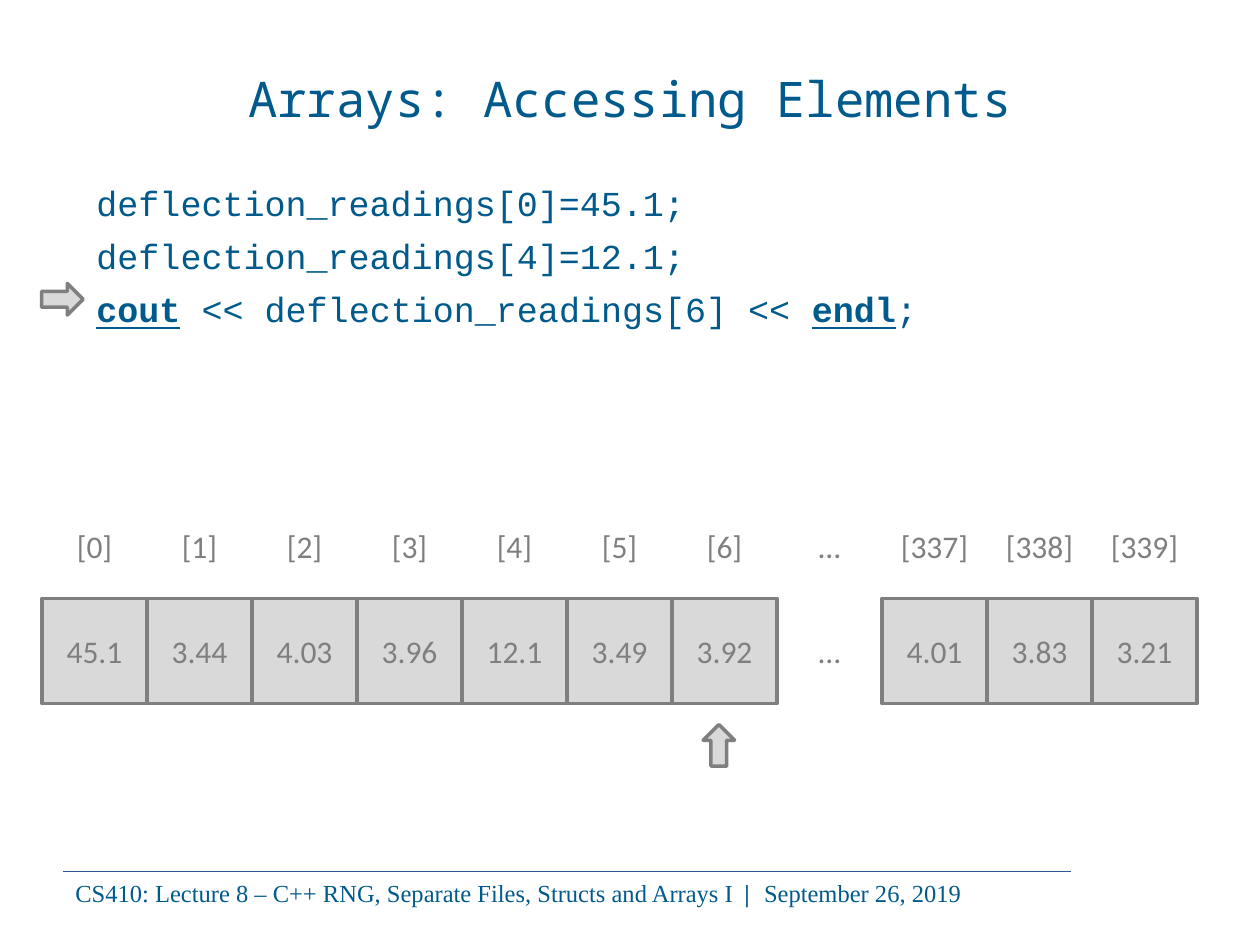
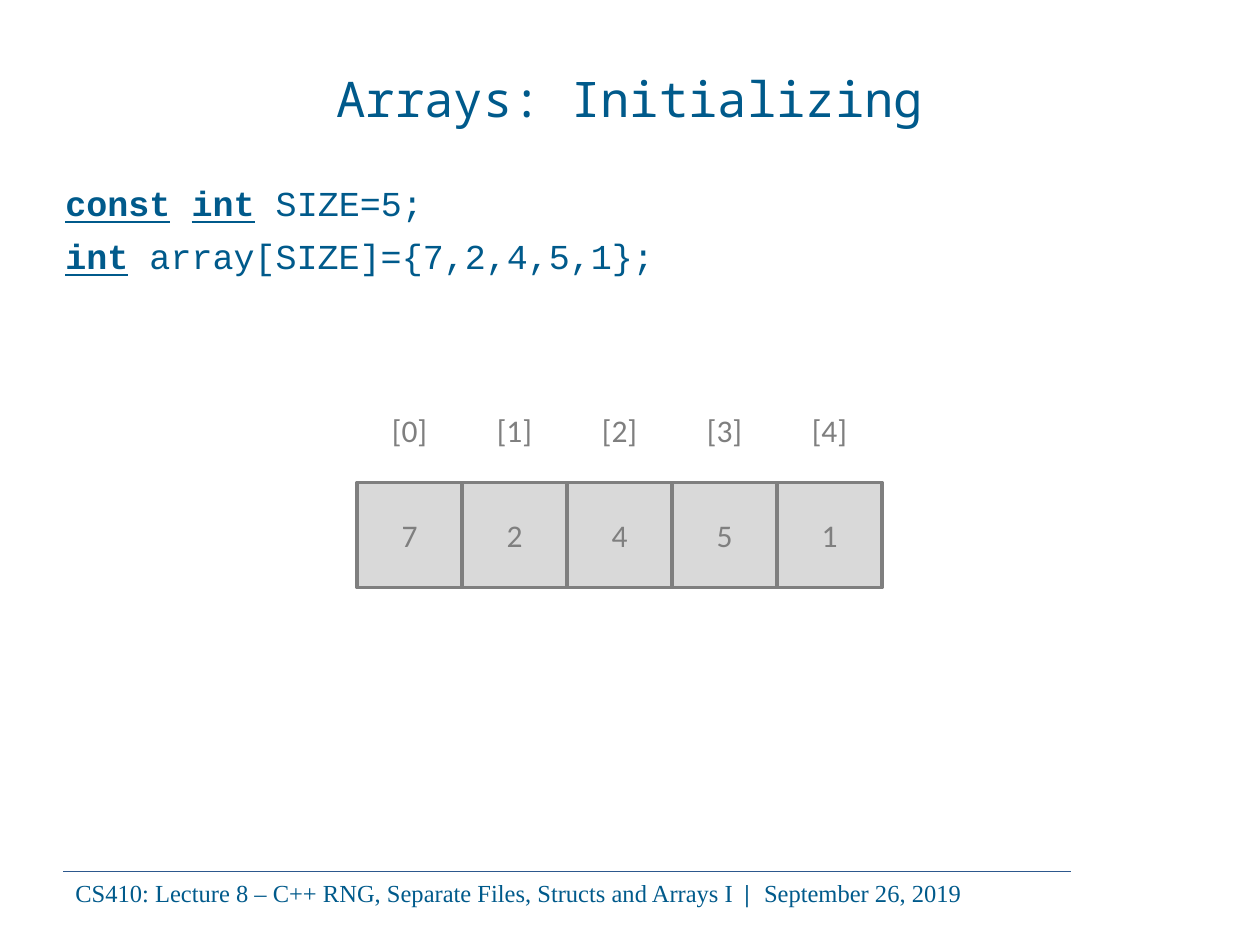
from pptx import Presentation
from pptx.dml.color import RGBColor
from pptx.enum.shapes import MSO_CONNECTOR, MSO_SHAPE
from pptx.enum.text import MSO_ANCHOR, PP_ALIGN
from pptx.oxml.ns import qn
from pptx.util import Inches, Pt
from lxml import etree

BLUE = RGBColor(0x00, 0x5A, 0x8B)
RULE = RGBColor(0x2D, 0x58, 0x8D)
GRAY = RGBColor(0x7F, 0x7F, 0x7F)
LIGHT = RGBColor(0xD9, 0xD9, 0xD9)

TITLE_FONT, CODE_FONT = "Noto Sans Mono", "Courier New"
CELL_FONT, FOOTER_FONT = "Calibri", "Times New Roman"
CELL = 5 / 6
GAP = "…"
KEYWORDS = ("cout", "endl", "const", "int")

FOOTER = ("CS410: Lecture 8 – C++ RNG, Separate Files, Structs and Arrays I",
          " | ", "September 26, 2019")

# Code lines are lists of runs; arrows are (left, top, rotation).
SLIDES = [
    {
        "title": "Arrays: Accessing Elements",
        "code_box": (0.5, 1.39, 8.58, 5.32),
        "code": [
            [" deflection_readings[0]=45.1;"],
            [" deflection_readings[4]=12.1;"],
            [" ", "cout", " << deflection_readings[6] << ", "endl", ";"],
        ],
        "array_at": (1 / 3, 4.75),
        "array": [("[0]", "45.1"), ("[1]", "3.44"), ("[2]", "4.03"),
                  ("[3]", "3.96"), ("[4]", "12.1"), ("[5]", "3.49"),
                  ("[6]", "3.92"), (GAP, GAP), ("[337]", "4.01"),
                  ("[338]", "3.83"), ("[339]", "3.21")],
        "arrows": [(0.33, 2.25, 0), (5.54, 5.79, 270)],
    },
    {
        "title": "Arrays: Initializing",
        "code_box": (0.42, 1.39, 9.75, 5.32),
        "code": [
            ["const", " ", "int", " SIZE=5;"],
            ["int", " array[SIZE]={7,2,4,5,1};"],
        ],
        "array_at": (17 / 6, 3.83),
        "array": [("[0]", "7"), ("[1]", "2"), ("[2]", "4"),
                  ("[3]", "5"), ("[4]", "1")],
        "arrows": [],
    },
]


def add_run(p, text, font, size, color, bold=False, underline=False):
    r = p.add_run()
    r.text = text
    r.font.name, r.font.size = font, Pt(size)
    r.font.color.rgb = color
    r.font.bold, r.font.underline = bold, underline
    return r


def add_text_frame(s, left, top, width, height):
    tf = s.shapes.add_textbox(Inches(left), Inches(top),
                              Inches(width), Inches(height)).text_frame
    tf.word_wrap = True
    return tf


def add_gray_shape(s, kind, left, top, width, height):
    sp = s.shapes.add_shape(kind, Inches(left), Inches(top),
                            Inches(width), Inches(height))
    sp.shadow.inherit = False
    sp.fill.solid()
    sp.fill.fore_color.rgb = LIGHT
    sp.line.color.rgb = GRAY
    sp.line.width = Pt(2)
    return sp


def center_text(tf, text, font, size, color):
    tf.vertical_anchor = MSO_ANCHOR.MIDDLE
    p = tf.paragraphs[0]
    p.alignment = PP_ALIGN.CENTER
    add_run(p, text, font, size, color)


def add_footer(s):
    line = s.shapes.add_connector(MSO_CONNECTOR.STRAIGHT, Inches(0.5), Inches(6.92),
                                  Inches(8.5), Inches(6.92))
    line.line.color.rgb = RULE
    line.line.width = Pt(0.5)
    etree.SubElement(line._element.spPr, qn("a:effectLst"))

    p = add_text_frame(s, 0.5, 6.92, 8.17, 0.34).paragraphs[0]
    lecture, bar, date = FOOTER
    add_run(p, lecture, FOOTER_FONT, 14, BLUE)
    r = add_run(p, bar, FOOTER_FONT, 14, BLUE, bold=True)
    r._r.get_or_add_rPr().set("spc", "230")
    add_run(p, date, FOOTER_FONT, 14, BLUE)


def add_code(s, box, lines):
    tf = add_text_frame(s, *box)
    for i, line in enumerate(lines):
        p = tf.paragraphs[0] if i == 0 else tf.add_paragraph()
        if i:
            p.space_before = Pt(6.4)
        for text in line:
            keyword = text in KEYWORDS
            add_run(p, text, CODE_FONT, 20, BLUE, keyword, keyword)


def add_array(s, left, top, items):
    """Draw a row of value cells with the index of each one above it."""
    for i, (index, value) in enumerate(items):
        x = left + i * CELL
        if value == GAP:
            tf = add_text_frame(s, x, top, CELL, CELL)
        else:
            tf = add_gray_shape(s, MSO_SHAPE.RECTANGLE, x, top, CELL, CELL).text_frame
        center_text(tf, value, CELL_FONT, 18, GRAY)
        center_text(add_text_frame(s, x, top - CELL, CELL, CELL),
                    index, CELL_FONT, 18, GRAY)


def main():
    prs = Presentation()
    prs.slide_width, prs.slide_height = Inches(10), Inches(7.5)
    for content in SLIDES:
        s = prs.slides.add_slide(prs.slide_layouts[6])
        add_footer(s)
        center_text(add_text_frame(s, 0.5, 0.3, 9, 0.95),
                    content["title"], TITLE_FONT, 28, BLUE)
        add_code(s, content["code_box"], content["code"])
        add_array(s, *content["array_at"], content["array"])
        for left, top, rotation in content["arrows"]:
            sp = add_gray_shape(s, MSO_SHAPE.RIGHT_ARROW, left, top, 0.33, 0.25)
            sp.rotation = rotation
    prs.save("out.pptx")


if __name__ == "__main__":
    main()
